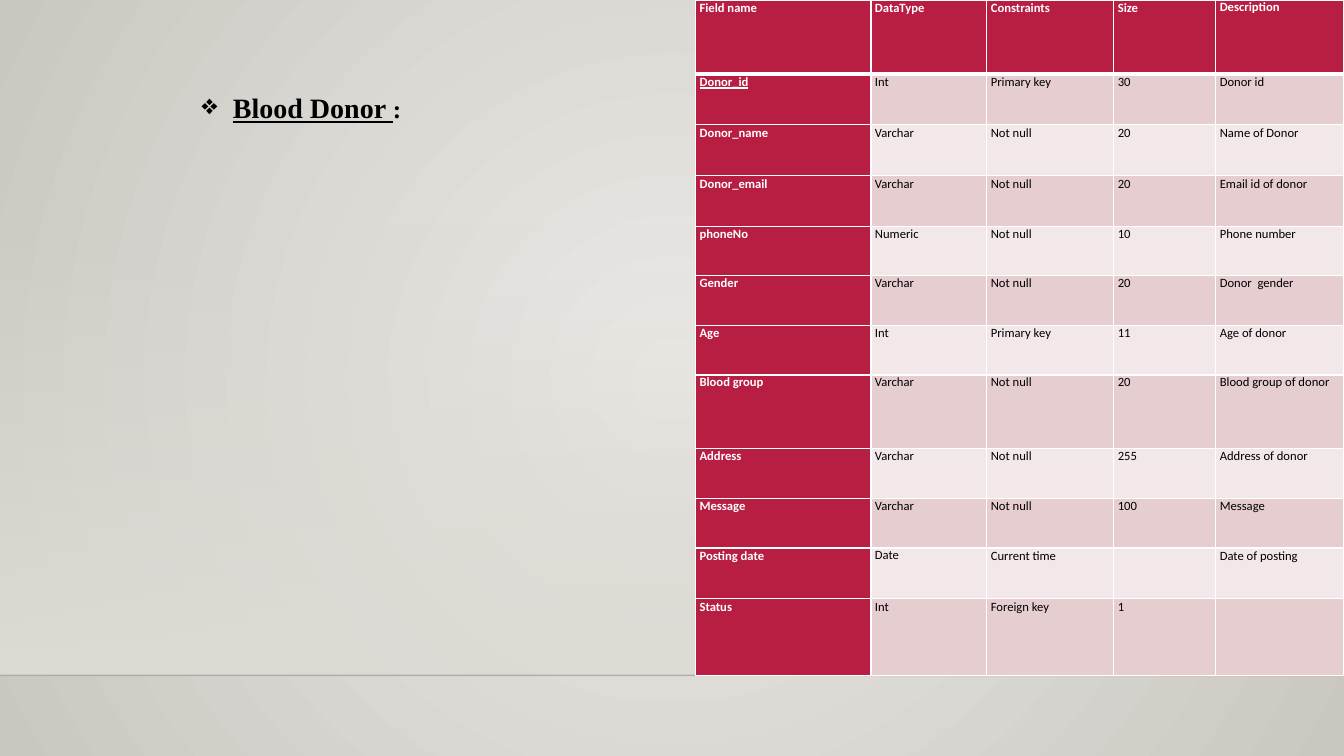
from lxml.etree import SubElement
from pptx import Presentation
from pptx.dml.color import RGBColor
from pptx.enum.shapes import MSO_CONNECTOR, MSO_SHAPE
from pptx.enum.text import MSO_AUTO_SIZE, PP_ALIGN
from pptx.oxml import parse_xml
from pptx.oxml.ns import nsdecls, qn
from pptx.util import Cm, Pt

COLORS = {
    "glow": "ECEAE7",
    "edge": "CAC7C1",
    "wall": "DFDBD5",
    "black": "000000",
    "white": "FFFFFF",
    "crimson": "B71E42",
    "rose": "E6CDCF",
    "blush": "F3E8E9",
}
SLIDE_WIDTH, SLIDE_HEIGHT = Cm(33.87), Cm(19.05)
FLOOR_TOP = Cm(17.02)

COLUMN_WIDTHS = [4.42, 2.92, 3.2, 2.57, 3.22]
ROW_HEIGHTS = [1.86, 1.28, 1.28, 1.28, 1.25, 1.25, 1.25, 1.86, 1.25, 1.25, 1.28, 1.93]
FIELDS = [
    ("Field name", "DataType", "Constraints", "Size", "Description"),
    ("Donor_id", "Int", "Primary key", "30", "Donor id"),
    ("Donor_name", "Varchar", "Not null", "20", "Name of Donor"),
    ("Donor_email", "Varchar", "Not null", "20", "Email id of donor"),
    ("phoneNo", "Numeric", "Not null", "10", "Phone number"),
    ("Gender", "Varchar", "Not null", "20", "Donor  gender"),
    ("Age", "Int", "Primary key", "11", "Age of donor"),
    ("Blood group", "Varchar", "Not null", "20", "Blood group of donor"),
    ("Address", "Varchar", "Not null", "255", "Address of donor"),
    ("Message", "Varchar", "Not null", "100", "Message"),
    ("Posting date", "Date", "Current time", "", "Date of posting"),
    ("Status", "Int", "Foreign key", "1", ""),
]
SINGLE_SPACED_ROWS = range(4, 10)
SINGLE_SPACED_CELLS = {(0, 4), (10, 1)}


def rgb(name):
    """Return the named colour."""
    return RGBColor.from_string(COLORS[name])


def set_gradient(fill, parent, start, end, direction, start_alpha=100):
    """Give a fill two gradient stops and a direction element."""
    fill.gradient()
    default = next(parent.iter(qn("a:gradFill")))
    gradient = parse_xml(
        f'<a:gradFill {nsdecls("a")} rotWithShape="1"><a:gsLst>'
        f'<a:gs pos="0"><a:srgbClr val="{COLORS[start]}">'
        f'<a:alpha val="{start_alpha * 1000}"/></a:srgbClr></a:gs>'
        f'<a:gs pos="100000"><a:srgbClr val="{COLORS[end]}"/></a:gs>'
        f'</a:gsLst>{direction}</a:gradFill>'
    )
    default.getparent().replace(default, gradient)


def add_backdrop(slide):
    """Draw the radial background, the wall shading and the floor line."""
    radial = ('<a:path path="circle"><a:fillToRect l="50000" t="50000" '
              'r="50000" b="50000"/></a:path>')
    set_gradient(slide.background.fill, slide.element, "glow", "edge", radial)

    wall_top = Cm(5.61)
    wall = slide.shapes.add_shape(
        MSO_SHAPE.RECTANGLE, 0, wall_top, SLIDE_WIDTH, FLOOR_TOP - wall_top)
    wall.shadow.inherit = False
    wall.line.fill.background()
    set_gradient(wall.fill, wall.element, "wall", "wall",
                 '<a:lin ang="5400000" scaled="0"/>', start_alpha=0)

    floor = slide.shapes.add_connector(
        MSO_CONNECTOR.STRAIGHT, 0, FLOOR_TOP, SLIDE_WIDTH, FLOOR_TOP)
    floor.line.width = Pt(1)
    floor.line.color.rgb = rgb("black")
    line_color = next(floor.element.iter(qn("a:srgbClr")))
    SubElement(line_color, qn("a:alpha"), val="20000")
    SubElement(floor.element.spPr, qn("a:effectLst"))


def add_heading(slide):
    """Write the bulleted heading."""
    heading = slide.shapes.add_textbox(Cm(4.83), Cm(2.16), Cm(5.59), Cm(1.88))
    heading.text_frame.word_wrap = False
    heading.text_frame.auto_size = MSO_AUTO_SIZE.NONE
    paragraph = heading.text_frame.paragraphs[0]
    properties = paragraph._p.get_or_add_pPr()
    properties.set("marL", str(Cm(0.79)))
    properties.set("indent", str(-Cm(0.79)))
    SubElement(properties, qn("a:buChar"), char="❖")
    for text, size, underlined in (("Blood Donor ", 20, True), (":", 18, False)):
        run = paragraph.add_run()
        run.text = text
        run.font.name = "Times New Roman"
        run.font.size = Pt(size)
        run.font.bold = True
        run.font.underline = underlined
        run.font.color.rgb = rgb("black")


def set_borders(cell, row):
    """Draw white cell borders, with a heavy one under the header."""
    widths = {"L": 1, "R": 1, "T": 3 if row == 1 else 1, "B": 3 if row == 0 else 1}
    for place, (side, width) in enumerate(widths.items()):
        border = parse_xml(
            f'<a:ln{side} {nsdecls("a")} w="{Pt(width)}"><a:solidFill>'
            f'<a:srgbClr val="{COLORS["white"]}"/></a:solidFill></a:ln{side}>'
        )
        cell._tc.get_or_add_tcPr().insert(place, border)


def format_cell(cell, row, column, text):
    """Fill in one cell and style it by its place in the table."""
    is_heading = row == 0 or column == 0
    band = "rose" if row % 2 else "blush"
    cell.fill.solid()
    cell.fill.fore_color.rgb = rgb("crimson" if is_heading else band)
    cell.margin_left, cell.margin_right = Cm(0.1), Cm(0.03)
    cell.margin_top = cell.margin_bottom = 0
    set_borders(cell, row)
    if not text:
        return
    cell.text_frame.text = text
    paragraph = cell.text_frame.paragraphs[0]
    paragraph.alignment = PP_ALIGN.JUSTIFY
    if row not in SINGLE_SPACED_ROWS and (row, column) not in SINGLE_SPACED_CELLS:
        paragraph.line_spacing = 1.06
    font = paragraph.runs[0].font
    font.name = "Calibri"
    font.size = Pt(9)
    font.bold = is_heading
    font.underline = text == "Donor_id"
    font.color.rgb = rgb("white" if is_heading else "black")


def add_field_table(slide):
    """Add the table that describes the donor fields."""
    fields = slide.shapes.add_table(
        len(FIELDS), len(COLUMN_WIDTHS), Cm(17.53), 0,
        Cm(sum(COLUMN_WIDTHS)), Cm(sum(ROW_HEIGHTS))).table
    fields.first_row = fields.first_col = fields.horz_banding = True
    for column, width in zip(fields.columns, COLUMN_WIDTHS):
        column.width = Cm(width)
    for row, height in zip(fields.rows, ROW_HEIGHTS):
        row.height = Cm(height)
    for row, texts in enumerate(FIELDS):
        for column, text in enumerate(texts):
            format_cell(fields.cell(row, column), row, column, text)


def main():
    """Build the slide and save it."""
    presentation = Presentation()
    presentation.slide_width = SLIDE_WIDTH
    presentation.slide_height = SLIDE_HEIGHT
    slide = presentation.slides.add_slide(presentation.slide_layouts[6])
    add_backdrop(slide)
    add_heading(slide)
    add_field_table(slide)
    presentation.save("out.pptx")


main()
